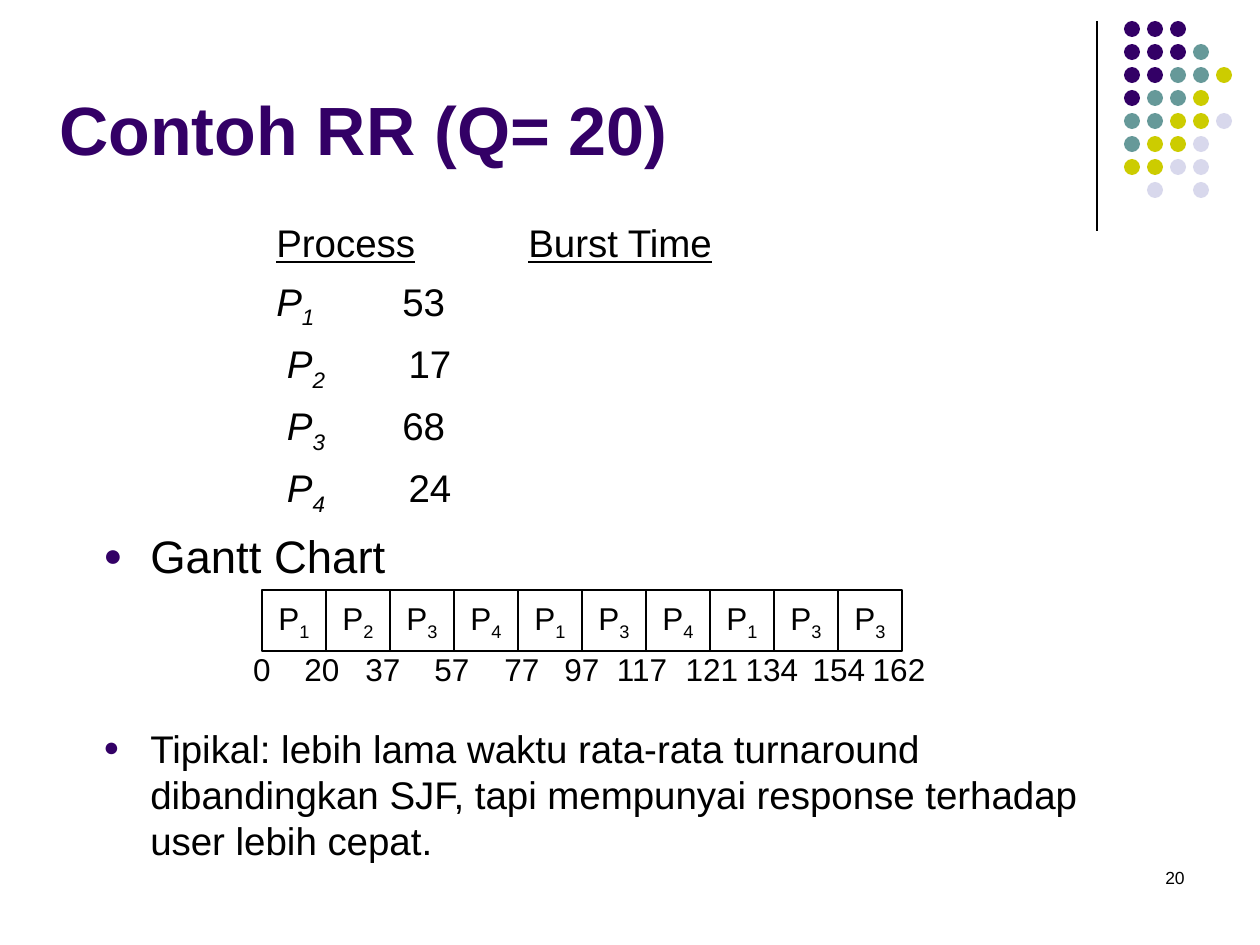
import pptx
import pptx.dml.color
import pptx.enum.shapes
import pptx.enum.text
import pptx.oxml.ns
import pptx.util
from lxml import etree

COLORS = {
    "ink": "000000",
    "paper": "FFFFFF",
    "purple": "330066",
    "teal": "669999",
    "olive": "CCCC00",
    "lilac": "D8D8EC",
}
ALIGN = pptx.enum.text.PP_ALIGN
ANCHOR = pptx.enum.text.MSO_ANCHOR
SHAPES = pptx.enum.shapes.MSO_SHAPE


def px(length):
    return round(length * 914400 / 126)


def rgb(name):
    return pptx.dml.color.RGBColor.from_string(COLORS[name])


def add_element(parent, tag, **attributes):
    return etree.SubElement(parent, pptx.oxml.ns.qn(tag), attributes)


def write(paragraph, text, size=22, color="ink", bold=False, italic=False,
          underline=False, subscript=False):
    run = paragraph.add_run()
    run.text = text
    font = run.font
    font.name = "Arial"
    font.size = pptx.util.Pt(size)
    font.color.rgb = rgb(color)
    font.bold = bold
    font.italic = italic
    font.underline = underline
    if subscript:
        font._element.set("baseline", "-25000")


class SlideBuilder:
    line_width = pptx.util.Pt(0.75)

    def __init__(self, slide):
        self.slide = slide

    def shape(self, kind, left, top, width, height, fill, outline=None):
        shape = self.slide.shapes.add_shape(
            kind, px(left), px(top), px(width), px(height))
        shape.shadow.inherit = False
        shape.fill.solid()
        shape.fill.fore_color.rgb = rgb(fill)
        if outline:
            shape.line.color.rgb = rgb(outline)
            shape.line.width = self.line_width
        else:
            shape.line.fill.background()
        return shape

    def line(self, x1, y1, x2, y2):
        line = self.slide.shapes.add_connector(
            pptx.enum.shapes.MSO_CONNECTOR.STRAIGHT, px(x1), px(y1), px(x2), px(y2))
        line.line.color.rgb = rgb("ink")
        line.line.width = self.line_width
        add_element(line._element.spPr, "a:effectLst")

    def text_frame(self, left, top, width, height, anchor=ANCHOR.TOP, wrap=True):
        box = self.slide.shapes.add_textbox(px(left), px(top), px(width), px(height))
        box.text_frame.word_wrap = wrap
        box.text_frame.vertical_anchor = anchor
        return box.text_frame

    def label(self, text, left, top, width, height, anchor=ANCHOR.TOP,
              align=ALIGN.LEFT, wrap=True, **style):
        paragraph = self.text_frame(left, top, width, height, anchor, wrap).paragraphs[0]
        paragraph.alignment = align
        write(paragraph, text, **style)

    def process_cell(self, number, left, top, width, height):
        cell = self.shape(SHAPES.RECTANGLE, left, top, width, height, "paper", "ink")
        cell.text_frame.word_wrap = False
        cell.text_frame.vertical_anchor = ANCHOR.MIDDLE
        paragraph = cell.text_frame.paragraphs[0]
        paragraph.alignment = ALIGN.CENTER
        write(paragraph, "P", size=18)
        write(paragraph, number, size=18, subscript=True)

    def tabbed(self, paragraph, stops):
        paragraph.space_before = pptx.util.Pt(5.5)
        tabs = add_element(paragraph._p.get_or_add_pPr(), "a:tabLst")
        for stop in stops:
            add_element(tabs, "a:tab", pos=str(px(stop)), algn="l")

    def bullet(self, paragraph, text, size, space_before):
        paragraph.space_before = pptx.util.Pt(space_before)
        properties = paragraph._p.get_or_add_pPr()
        properties.set("marL", str(px(47)))
        properties.set("indent", str(px(-47)))
        color = add_element(properties, "a:buClr")
        add_element(color, "a:srgbClr", val=COLORS["purple"])
        add_element(properties, "a:buSzPct", val="70000")
        add_element(properties, "a:buFont", typeface="Arial")
        add_element(properties, "a:buChar", char="●")
        write(paragraph, text, size=size)


def add_dots(builder):
    shades = {"P": "purple", "T": "teal", "O": "olive", "L": "lilac"}
    pattern = ["PPP", "PPPT", "PPTTO", "PTTO", "TTOOL", "TOOL", "OOLL", " L L"]
    for row, codes in enumerate(pattern):
        for column, code in enumerate(codes):
            if code in shades:
                builder.shape(SHAPES.OVAL, 1124 + 23 * column, 21 + 23 * row,
                              16, 16, shades[code])


def add_body(builder):
    body = builder.text_frame(91, 199, 1056, 689)
    header = body.paragraphs[0]
    builder.tabbed(header, [173, 425])
    write(header, "\t", size=30)
    write(header, "Process", underline=True)
    write(header, "\t")
    write(header, "Burst Time", underline=True)

    bursts = [("\tP", "1\t", "53"), ("\t P", "2\t ", "17"),
              ("\t P", "3\t", "68"), ("\t P", "4\t ", "24")]
    for process, number, burst in bursts:
        row = body.add_paragraph()
        builder.tabbed(row, [173, 299])
        write(row, process, italic=True)
        write(row, number, italic=True, subscript=True)
        write(row, burst)

    builder.bullet(body.add_paragraph(), "Gantt Chart", 26, 6.5)
    builder.bullet(
        body.add_paragraph(),
        "Tipikal: lebih lama waktu rata-rata turnaround dibandingkan SJF, "
        "tapi mempunyai response terhadap user lebih cepat.", 22, 81)


def add_gantt(builder):
    for index, number in enumerate("1234134133"):
        builder.process_cell(number, 262 + 64 * index, 590, 64, 61)
    time_centers = {0: 262, 20: 322, 37: 383, 57: 452, 77: 522, 97: 582,
                    117: 642, 121: 712, 134: 772, 154: 839, 162: 899}
    width = 90
    for time, center in time_centers.items():
        builder.label(str(time), center - width // 2, 644, width, 50,
                      anchor=ANCHOR.MIDDLE, align=ALIGN.CENTER, wrap=False, size=18)


def main():
    deck = pptx.Presentation()
    deck.slide_width, deck.slide_height = px(1260), px(945)
    builder = SlideBuilder(deck.slides.add_slide(deck.slide_layouts[6]))
    builder.line(1097, 21, 1097, 231)
    add_dots(builder)
    builder.label("Contoh RR (Q= 20)", 47, 59, 1110, 116, anchor=ANCHOR.BOTTOM,
                  size=39, color="purple", bold=True)
    add_body(builder)
    add_gantt(builder)
    builder.label("20", 903, 861, 294, 63, align=ALIGN.RIGHT, size=10)
    deck.save("out.pptx")


if __name__ == "__main__":
    main()
